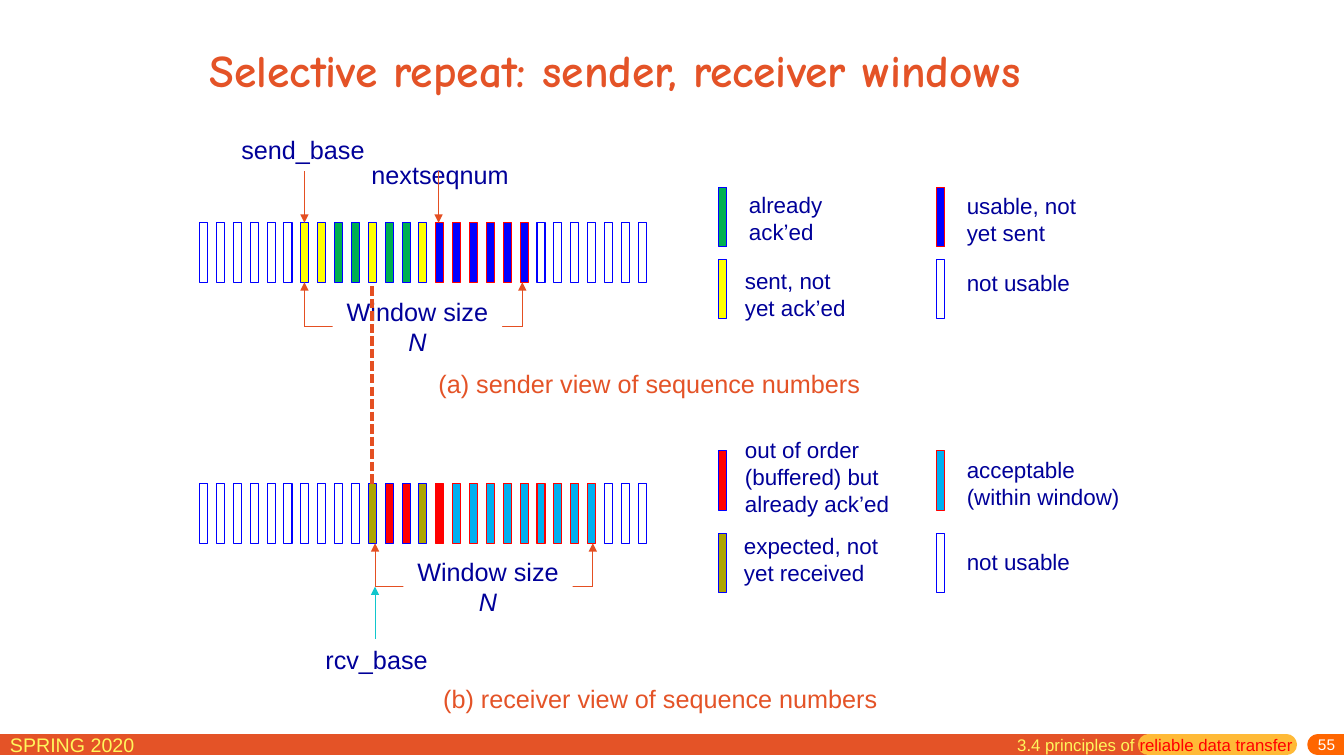
from pptx import Presentation
from pptx import util as u
from pptx.dml.color import RGBColor
from pptx.enum import dml, shapes, text
from pptx.oxml.ns import qn
from lxml import etree

NAVY, ORANGE, ARROW, TEAL = "000099", "E45327", "E44F22", "11C6CC"
YELLOW, AMBER, WHITE, RED = "FFF65C", "FFBA37", "FFFFFF", "FF0000"
TITLE = "Selective repeat: sender, receiver windows"

# Packet states: fill, outline
STATES = {
    "acked": ("00B050", "0000FF"),
    "sent": ("FFFF00", "0000FF"),
    "usable": ("0000FF", RED),
    "unusable": (WHITE, "0000FF"),
    "buffered": (RED, "0000FF"),
    "buffered last": (RED, RED),
    "expected": ("AEA400", "0000FF"),
    "acceptable": ("00B0F0", RED),
}

# Sequence number rows: top, runs of (state, count)
ROWS = [
    (2.21, [("unusable", 6), ("sent", 2), ("acked", 2), ("sent", 1), ("acked", 2),
            ("sent", 1), ("usable", 6), ("unusable", 7)]),
    (4.8, [("unusable", 10), ("expected", 1), ("buffered", 2), ("expected", 1),
           ("buffered last", 1), ("acceptable", 9), ("unusable", 3)]),
]
ROW_LEFT, PITCH = 1.98, 4.35 / 26
CELL_WIDTH, CELL_HEIGHT = 0.08, 0.59

# Legend: state, key left, key top, label box, label lines
LEGEND = [
    ("acked", 7.13, 1.86, (7.33, 1.85, 1.36, 0.64), ["already", "ack’ed"]),
    ("sent", 7.13, 2.57, (7.29, 2.6, 1.36, 0.64), ["sent, not yet ack’ed"]),
    ("usable", 9.29, 1.86, (9.49, 1.86, 1.51, 0.64), ["usable, not yet sent"]),
    ("unusable", 9.29, 2.57, (9.49, 2.62, 1.51, 0.37), ["not usable"]),
    ("buffered", 7.13, 4.47, (7.29, 4.28, 1.99, 0.91),
     ["out of order (buffered) but already ack’ed"]),
    ("expected", 7.13, 5.29, (7.28, 5.23, 1.72, 0.64), ["expected, not yet received"]),
    ("acceptable", 9.29, 4.47, (9.49, 4.48, 1.98, 0.64), ["acceptable", "(within window)"]),
    ("unusable", 9.29, 5.29, (9.49, 5.39, 1.51, 0.37), ["not usable"]),
]

# Window brackets: left, right, arrow tip, base, label left, label top
WINDOWS = [(3.02, 5.18, 2.8, 3.24, 3.3, 2.89), (3.72, 5.88, 5.39, 5.82, 4.0, 5.47)]

# Pointers and captions: text, box, colour
LABELS = [
    ("send_base", (2.25, 1.28, 1.51, 0.4), NAVY),
    ("rcv_base", (2.98, 6.34, 1.51, 0.4), NAVY),
    ("(a) sender view of sequence numbers", (4.04, 3.61, 4.8, 0.4), ORANGE),
    ("(b) receiver view of sequence numbers", (4.15, 6.73, 4.8, 0.4), ORANGE),
]
POINTERS = [((3.02, 1.7), (3.02, 2.21), ARROW), ((4.35, 1.7), (4.35, 2.21), ARROW),
            ((3.72, 6.34), (3.72, 5.82), TEAL)]

# Footer bars: left, right, colour, cap
FOOTER_BARS = [(0, 11.39, ORANGE, "flat"), (11.39, 12.76, AMBER, "rnd"),
               (13.07, 13.33, "FF6600", "rnd")]


def color(hex_string):
    return RGBColor.from_string(hex_string)


def add_run(paragraph, words, size, hex_color, font="Arial", bold=False, italic=False):
    run = paragraph.add_run()
    run.text = words
    run.font.name, run.font.size = font, u.Pt(size)
    run.font.bold, run.font.italic = bold, italic
    run.font.color.rgb = color(hex_color)


def add_text(box, paragraphs, size, align=text.PP_ALIGN.LEFT, fill=None):
    """Each paragraph is a list of (words, colour, italic) runs."""
    shape = slide.shapes.add_textbox(*map(u.Inches, box))
    if fill:
        shape.fill.solid()
        shape.fill.fore_color.rgb = color(fill)
    frame = shape.text_frame
    frame.word_wrap = True
    for index, runs in enumerate(paragraphs):
        paragraph = frame.add_paragraph() if index else frame.paragraphs[0]
        paragraph.alignment = align
        for words, hex_color, italic in runs:
            add_run(paragraph, words, size, hex_color, italic=italic)
    return frame


def add_line(start, end, hex_color, width=0.75, arrow=False, cap=None):
    line = slide.shapes.add_connector(shapes.MSO_CONNECTOR.STRAIGHT,
                                      *map(u.Inches, (*start, *end)))
    line.line.color.rgb = color(hex_color)
    line.line.width = u.Pt(width)
    properties = line._element.spPr
    outline = properties.find(qn("a:ln"))
    if cap:
        outline.set("cap", cap)
    if arrow:
        etree.SubElement(outline, qn("a:tailEnd"), type="triangle")
    etree.SubElement(properties, qn("a:effectLst"))
    return line


def add_cell(left, top, state):
    cell = slide.shapes.add_shape(shapes.MSO_SHAPE.RECTANGLE, *map(
        u.Inches, (left, top, CELL_WIDTH, CELL_HEIGHT)))
    fill, outline = STATES[state]
    cell.shadow.inherit = False
    cell.fill.solid()
    cell.fill.fore_color.rgb = color(fill)
    cell.line.color.rgb = color(outline)
    cell.line.width = u.Pt(0.75)


presentation = Presentation()
presentation.slide_width, presentation.slide_height = u.Inches(13.33), u.Inches(7.5)
slide = presentation.slides.add_slide(presentation.slide_layouts[5])
CENTER, RIGHT = text.PP_ALIGN.CENTER, text.PP_ALIGN.RIGHT

# Footer
for left, right, hex_color, cap in FOOTER_BARS:
    add_line((left, 7.39), (right, 7.39), hex_color, 15, cap=cap)
add_text((0, 7.22, 2.29, 0.31), [[("SPRING 2020", YELLOW, False)]], 14)
add_text((9.99, 7.24, 3.01, 0.31), [[("3.4 principles of ", YELLOW, False),
                                     ("reliable data transfer", RED, False)]], 12)
number = add_text((10.75, 7.32, 2.59, 0.18), [[("55", WHITE, False)]], 11, RIGHT)
number.margin_top = 0
number.vertical_anchor = text.MSO_ANCHOR.MIDDLE

# Title
title = slide.shapes.title
title.left, title.top, title.width, title.height = map(u.Inches, (1.98, 0.2, 9.65, 0.98))
title.text_frame.auto_size = text.MSO_AUTO_SIZE.NONE
title.text_frame.vertical_anchor = text.MSO_ANCHOR.MIDDLE
title.text_frame.paragraphs[0].alignment = text.PP_ALIGN.LEFT
add_run(title.text_frame.paragraphs[0], TITLE, 32.4, ORANGE, "Comic Neue", bold=True)

# Sequence number rows
add_text((3.55, 1.53, 1.63, 0.4), [[("nextseqnum", NAVY, False)]], 18, CENTER, WHITE)
for top, groups in ROWS:
    states = [state for state, count in groups for _ in range(count)]
    for index, state in enumerate(states):
        add_cell(ROW_LEFT + index * PITCH, top, state)

# Window brackets
for left, right, tip, base, label_left, label_top in WINDOWS:
    add_line((left, base), (right, base), ARROW)
    for side in (left, right):
        add_line((side, base), (side, tip), ARROW, arrow=True)
    add_text((label_left, label_top, 1.68, 0.71),
             [[("Window size", NAVY, False)], [("N", NAVY, True)]], 18, CENTER, WHITE)

# Pointers and captions
for words, box, hex_color in LABELS:
    add_text(box, [[(words, hex_color, False)]], 18, CENTER)
for start, end, hex_color in POINTERS:
    add_line(start, end, hex_color, arrow=True)

# Legend
for state, left, top, box, lines in LEGEND:
    add_cell(left, top, state)
    add_text(box, [[(line, NAVY, False)] for line in lines], 16)

# Link between the two views
link = add_line((3.69, 2.84), (3.69, 4.8), ARROW, 2.25)
link.line.dash_style = dml.MSO_LINE.SQUARE_DOT

presentation.save("out.pptx")
